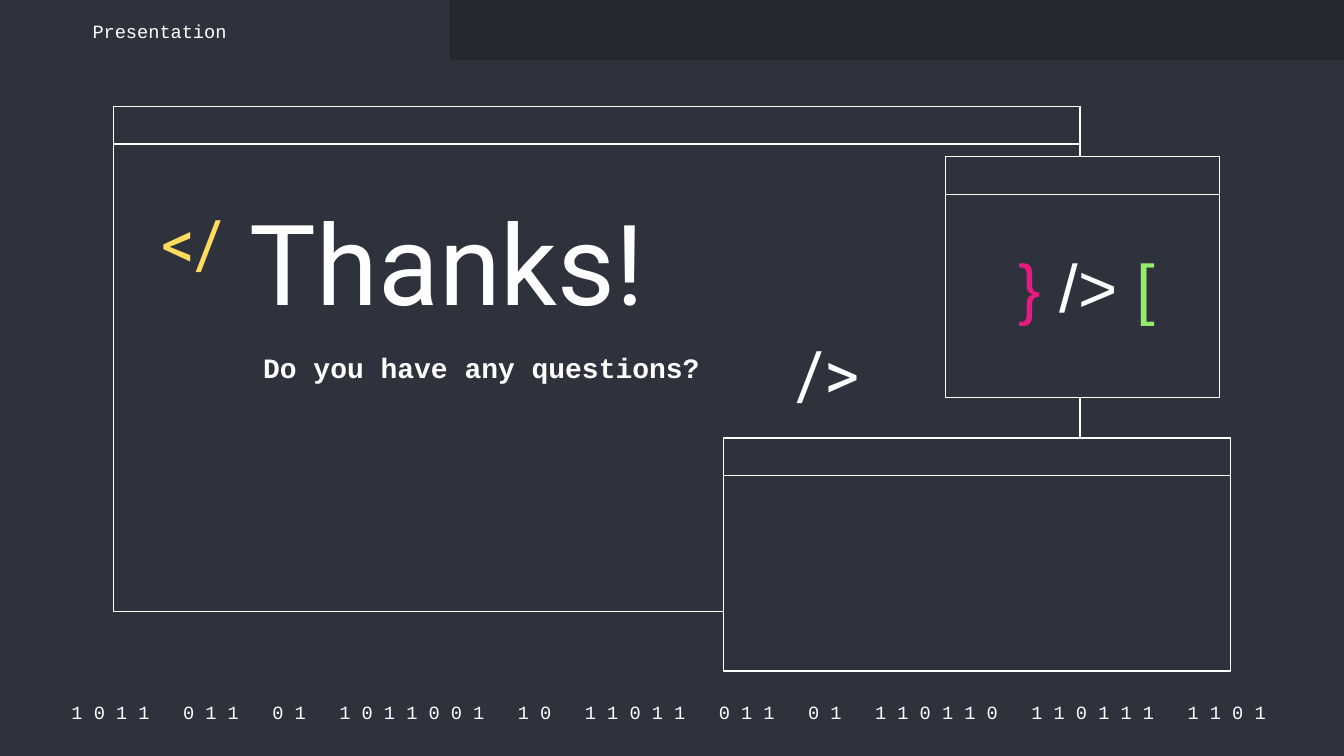
"""Build the closing slide: code windows, thanks and a line of bits."""
import pptx
import pptx.util
import pptx.dml.color
import pptx.enum.text
from dataclasses import dataclass

ALIGN = pptx.enum.text.PP_ALIGN
ANCHOR = pptx.enum.text.MSO_ANCHOR


@dataclass(frozen=True)
class Theme:
    """Colours, fonts and sizes of the slide."""
    back: str = "2D323C"
    bar: str = "242830"
    white: str = "FFFFFF"
    pink: str = "E81981"
    green: str = "94EE6B"
    gold: str = "FFDB5D"
    mono: str = "Courier New"
    sans: str = "Arial"
    head: str = "Roboto"
    small: int = 10
    body: int = 15
    sign: int = 36
    big: int = 60
    line: float = 0.75


THEME = Theme()
WIDE = 10
HIGH = WIDE * 9 / 16
COLS = 100


def grid(*cells):
    """Turn square grid cells into lengths."""
    return [pptx.util.Inches(round(n * WIDE / COLS, 3)) for n in cells]


def color(code):
    """Give the colour of a hex code."""
    return pptx.dml.color.RGBColor.from_string(code)


def apply(item, values):
    """Set each format value on an item."""
    for name, value in values.items():
        setattr(item, name, value)


def panel(slide, cells, fill, edge=None):
    """Draw a flat rectangle, with an edge if one is given."""
    shape = slide.shapes.add_shape(1, *grid(*cells))
    shape.shadow.inherit = False
    shape.fill.solid()
    shape.fill.fore_color.rgb = color(fill)
    if edge:
        shape.line.color.rgb = color(edge)
        shape.line.width = pptx.util.Pt(THEME.line)
    else:
        shape.line.fill.background()


def window(slide, left, top, width, height):
    """Draw a window with a title strip."""
    for tall in (height, 2.8):
        panel(slide, (left, top, width, tall), THEME.back, THEME.white)


def label(slide, cells, parts, font, size, bold=False, align=ALIGN.LEFT,
          anchor=ANCHOR.TOP, space=1.0, side=1):
    """Write one line of coloured text parts."""
    frame = slide.shapes.add_textbox(*grid(*cells)).text_frame
    pad, edge = grid(side, 1)
    apply(frame, {"word_wrap": True, "vertical_anchor": anchor,
                  "margin_left": pad, "margin_right": pad,
                  "margin_top": edge, "margin_bottom": edge})
    line = frame.paragraphs[0]
    apply(line, {"alignment": align, "line_spacing": space})
    for text, tint in parts:
        run = line.add_run()
        run.text = text
        apply(run.font, {"name": font, "size": pptx.util.Pt(size), "bold": bold})
        run.font.color.rgb = color(tint)


def bits(words):
    """Space out the digits of each binary word."""
    return "   ".join(" ".join(word) for word in words.split()) + " "


def main():
    """Build and save the slide."""
    deck = pptx.Presentation()
    apply(deck, {"slide_width": pptx.util.Inches(WIDE),
                 "slide_height": pptx.util.Inches(HIGH)})
    slide = deck.slides.add_slide(deck.slide_layouts[6])
    slide.background.fill.solid()
    slide.background.fill.fore_color.rgb = color(THEME.back)
    white = THEME.white

    window(slide, 8.43, 7.92, 71.94, 37.6)
    window(slide, 53.85, 32.6, 37.7, 17.34)
    code = bits("1011 011 01 1011001 10 11011 011 01 110110 110111 1101")
    label(slide, (3.8, 52, 92.7, 2), [(code, white)], THEME.mono, THEME.small,
          align=ALIGN.CENTER, anchor=ANCHOR.MIDDLE)
    panel(slide, (33.5, 0, 66.5, 4.5), THEME.bar)
    window(slide, 70.35, 11.66, 20.4, 17.9)

    signs = [("}", THEME.pink), (" /> ", white), ("[", THEME.green)]
    label(slide, (74.2, 17.9, 13.3, 8.2), signs, THEME.sans, THEME.sign,
          align=ALIGN.CENTER, space=0.9)
    label(slide, (5.9, 1.3, 21.9, 2), [("Presentation", white)],
          THEME.mono, THEME.small, anchor=ANCHOR.MIDDLE)
    label(slide, (18.6, 13.4, 36, 10.9), [("Thanks!", white)],
          THEME.head, THEME.big, side=0)
    label(slide, (18.6, 25.1, 36, 10.9), [("Do you have any questions?", white)],
          THEME.mono, THEME.body, bold=True)
    for left, top, text, tint in ((11, 15.1, "</", THEME.gold),
                                  (58.3, 24.8, "/>", white)):
        label(slide, (left, top, 7.7, 6.6), [(text, tint)], THEME.head,
              THEME.sign, anchor=ANCHOR.MIDDLE, space=0.9)
    deck.save("out.pptx")


if __name__ == "__main__":
    main()
